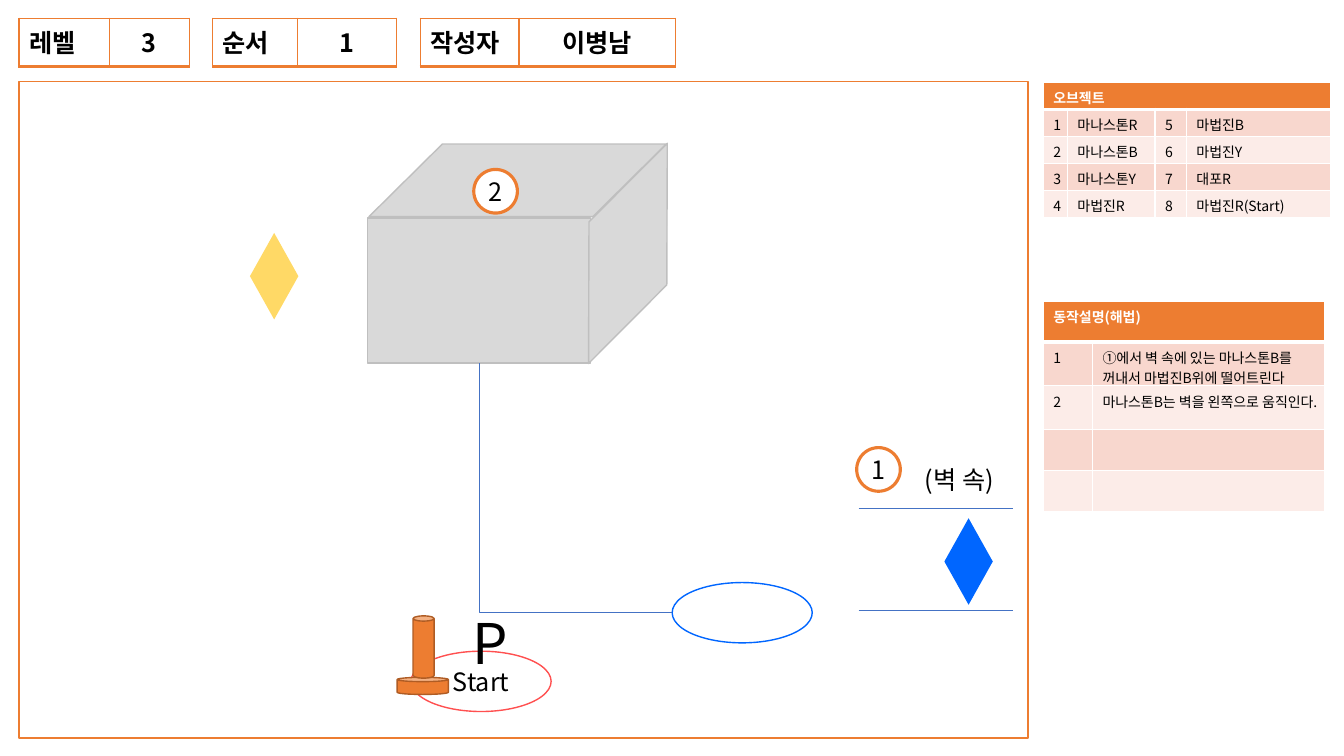
from dataclasses import dataclass

from lxml import etree
from pptx import Presentation
from pptx.dml.color import RGBColor
from pptx.enum.shapes import MSO_CONNECTOR, MSO_SHAPE
from pptx.enum.text import MSO_ANCHOR, MSO_AUTO_SIZE, PP_ALIGN
from pptx.oxml.ns import qn
from pptx.util import Cm, Pt

LEFT, CENTER = PP_ALIGN.LEFT, PP_ALIGN.CENTER
TOP, MIDDLE = MSO_ANCHOR.TOP, MSO_ANCHOR.MIDDLE
FIT = MSO_AUTO_SIZE.SHAPE_TO_FIT_TEXT
STRAIGHT, ELBOW = MSO_CONNECTOR.STRAIGHT, MSO_CONNECTOR.ELBOW
OVAL, DIAMOND, CAN = MSO_SHAPE.OVAL, MSO_SHAPE.DIAMOND, MSO_SHAPE.CAN
RECT, SLANT = MSO_SHAPE.RECTANGLE, MSO_SHAPE.PARALLELOGRAM


@dataclass(frozen=True)
class Theme:
    """Colours, font and type sizes of the slide."""
    font: str = "Noto Sans CJK KR"
    small: int = 10
    body: int = 18
    big: int = 40
    black: str = "000000"
    white: str = "FFFFFF"
    orange: str = "ED7D31"
    brown: str = "AF5C24"
    bands: tuple = ("F8D7CE", "FCECE8")
    red: str = "FF5050"
    blue: str = "0066FF"
    yellow: str = "FFD966"
    wire: str = "4472C4"
    grey: str = "D9D9D9"
    edge: str = "BFBFBF"


T = Theme()


def rgb(value):
    """Turn a hex string into a colour."""
    return RGBColor.from_string(value)


def write(tf, text, size=T.body, color=T.black, bold=False, align=LEFT):
    """Write one formatted paragraph into a text frame."""
    p = tf.paragraphs[0]
    p.alignment = align
    if not text:
        end = etree.SubElement(p._p, qn("a:endParaRPr"))
        end.set("sz", str(size * 100))
        return
    r = p.add_run()
    r.text = text
    r.font.size, r.font.bold, r.font.name = Pt(size), bold, T.font
    r.font.color.rgb = rgb(color)
    ea = etree.SubElement(r._r.get_or_add_rPr(), qn("a:ea"))
    ea.set("typeface", T.font)


def add_shape(slide, kind, x, y, w, h, fill=None, line=None, weight=1, text=None):
    """Add a preset shape, with centred text if given."""
    sp = slide.shapes.add_shape(kind, Cm(x), Cm(y), Cm(w), Cm(h))
    sp.shadow.inherit = False
    if fill:
        sp.fill.solid()
        sp.fill.fore_color.rgb = rgb(fill)
    else:
        sp.fill.background()
    if line:
        sp.line.color.rgb = rgb(line)
        sp.line.width = Pt(weight)
    else:
        sp.line.fill.background()
    if text:
        tf = sp.text_frame
        tf.vertical_anchor = MIDDLE
        tf.margin_left = tf.margin_right = 0
        write(tf, text, align=CENTER)
    return sp


def add_line(slide, kind, x1, y1, x2, y2):
    """Add a thin connector without shadow."""
    sp = slide.shapes.add_connector(kind, Cm(x1), Cm(y1), Cm(x2), Cm(y2))
    sp.line.color.rgb = rgb(T.wire)
    sp.line.width = Pt(0.5)
    etree.SubElement(sp._element.spPr, qn("a:effectLst"))
    return sp


def add_label(slide, x, y, w, h, text, wrap=False, **fmt):
    """Add a text box that grows with its text."""
    tf = slide.shapes.add_textbox(Cm(x), Cm(y), Cm(w), Cm(h)).text_frame
    tf.word_wrap, tf.auto_size, tf.vertical_anchor = wrap, FIT, TOP
    write(tf, text, **fmt)


def style_cell(cell, color, bottom=1, fill=None):
    """Set the four borders and the fill of a cell."""
    pr = cell._tc.get_or_add_tcPr()
    for side, weight in (("L", 1), ("R", 1), ("T", 1), ("B", bottom)):
        ln = etree.SubElement(pr, qn(f"a:ln{side}"), w=str(Pt(weight)))
        solid = etree.SubElement(ln, qn("a:solidFill"))
        etree.SubElement(solid, qn("a:srgbClr"), val=color)
    if fill:
        cell.fill.solid()
        cell.fill.fore_color.rgb = rgb(fill)
    else:
        cell.fill.background()


def add_grid(slide, x, y, cols, rows, row_h):
    """Add an unbanded table with the given column widths."""
    table = slide.shapes.add_table(
        rows, len(cols), Cm(x), Cm(y), Cm(sum(cols)), Cm(row_h * rows)).table
    table.first_row = table.horz_banding = False
    for col, width in zip(table.columns, cols):
        col.width = Cm(width)
    for row in table.rows:
        row.height = Cm(row_h)
    return table


def add_tag(slide, x, y, cols, name, value):
    """Draw a framed name and value pair."""
    table = add_grid(slide, x, y, cols, 1, 1.22)
    for cell, text, align in zip(table.iter_cells(), (name, value), (LEFT, CENTER)):
        style_cell(cell, T.orange, bottom=2)
        write(cell.text_frame, text, bold=True, align=align)


def add_list(slide, x, y, cols, row_h, title, rows):
    """Draw a banded table under a merged title row."""
    table = add_grid(slide, x, y, cols, len(rows) + 1, row_h)
    for i in range(len(cols)):
        style_cell(table.cell(0, i), T.white, bottom=3, fill=T.orange)
    table.cell(0, 0).merge(table.cell(0, len(cols) - 1))
    write(table.cell(0, 0).text_frame, title, size=T.small, color=T.white, bold=True)
    for i, row in enumerate(rows):
        for j, text in enumerate(row):
            cell = table.cell(i + 1, j)
            style_cell(cell, T.white, fill=T.bands[i % 2])
            write(cell.text_frame, text, size=T.small)


def add_block(slide, x, y):
    """Draw the grey block from its front, side and top faces."""
    look = {"fill": T.grey, "line": T.edge}
    add_shape(slide, RECT, x, y + 1.86, 5.61, 3.66, **look)
    side = add_shape(slide, SLANT, x + 3.89, y + 1.5, 5.33, 2.51, **look)
    side.rotation = 314.9
    top = add_shape(slide, SLANT, x + 0.03, y, 7.49, 1.83, **look)
    for face in (side, top):
        face.adjustments[0] = 1.01


def add_cannon(slide, x, y):
    """Draw the cannon as a barrel on a base."""
    look = {"fill": T.orange, "line": T.brown}
    add_shape(slide, CAN, x, y + 1.55, 1.29, 0.43, **look)
    add_shape(slide, CAN, x + 0.4, y, 0.53, 1.57, **look)


def add_badge(slide, x, y, number):
    """Draw a numbered circle."""
    add_shape(slide, OVAL, x, y, 1.1, 1.1, T.white, T.orange, 2.25, number)


def add_board(slide, x, y, w, h):
    """Draw the level map inside its frame."""
    add_shape(slide, OVAL, x + 9.88, y + 14.35, 3.53, 1.52, line=T.red, text="Start")
    add_shape(slide, RECT, x, y, w, h, line=T.orange)
    add_badge(slide, x + 21.11, y + 9.22, "1")
    add_shape(slide, OVAL, x + 16.46, y + 12.62, 3.53, 1.52, line=T.blue)
    add_shape(slide, DIAMOND, x + 23.32, y + 11, 1.22, 2.18, T.blue)
    for wall in (10.74, 13.33):
        add_line(slide, STRAIGHT, x + 21.16, y + wall, x + 25.05, y + wall)
    add_label(slide, x + 22.58, y + 9.52, 2.41, 1.02, "(벽 속)", wrap=True)
    add_block(slide, x + 8.79, y + 1.57)
    add_shape(slide, DIAMOND, x + 5.82, y + 3.81, 1.22, 2.18, T.yellow)
    add_cannon(slide, x + 9.53, y + 13.46)
    add_label(slide, x + 11.18, y + 13.15, 1.32, 1.96, "P", size=T.big, align=CENTER)
    add_badge(slide, x + 11.46, y + 2.21, "2")
    bend = add_line(slide, ELBOW, x + 11.59, y + 7.08, x + 16.46, y + 13.38)
    bend._element.spPr.find(qn("a:xfrm")).set("rot", "10800000")
    bend._element.spPr.find(qn("a:prstGeom")).set("prst", "bentConnector2")


def main():
    """Build the level design slide."""
    prs = Presentation()
    prs.slide_width, prs.slide_height = Cm(33.87), Cm(19.05)
    slide = prs.slides.add_slide(prs.slide_layouts[6])
    add_board(slide, 0.48, 2.06, 25.43, 16.54)
    add_tag(slide, 0.48, 0.46, (2.28, 2.01), "레벨", "3")
    add_tag(slide, 5.36, 0.46, (2.13, 2.51), "순서", "1")
    add_tag(slide, 10.59, 0.46, (2.49, 3.94), "작성자", "이병남")
    add_list(slide, 26.29, 2.08, (0.58, 2.21, 0.79, 3.63), 0.64, "오브젝트", [
        ("1", "마나스톤R", "5", "마법진B"),
        ("2", "마나스톤B", "6", "마법진Y"),
        ("3", "마나스톤Y", "7", "대포R"),
        ("4", "마법진R", "8", "마법진R(Start)")])
    add_list(slide, 26.29, 7.59, (1.24, 5.84), 1.03, "동작설명(해법)", [
        ("1", "①에서 벽 속에 있는 마나스톤B를 꺼내서 마법진B위에 떨어트린다"),
        ("2", "마나스톤B는 벽을 왼쪽으로 움직인다."),
        ("", ""), ("", "")])
    prs.save("out.pptx")


if __name__ == "__main__":
    main()
